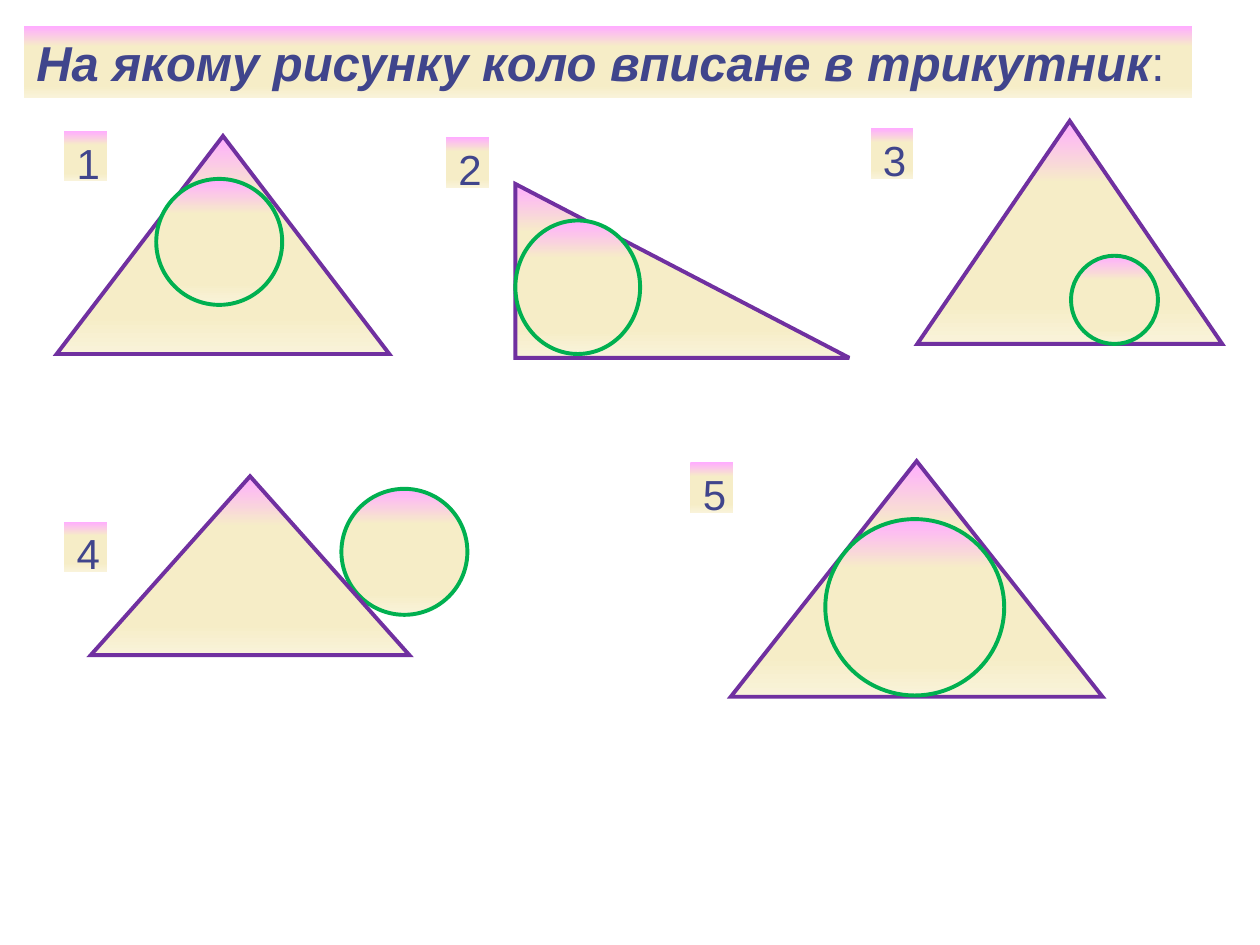
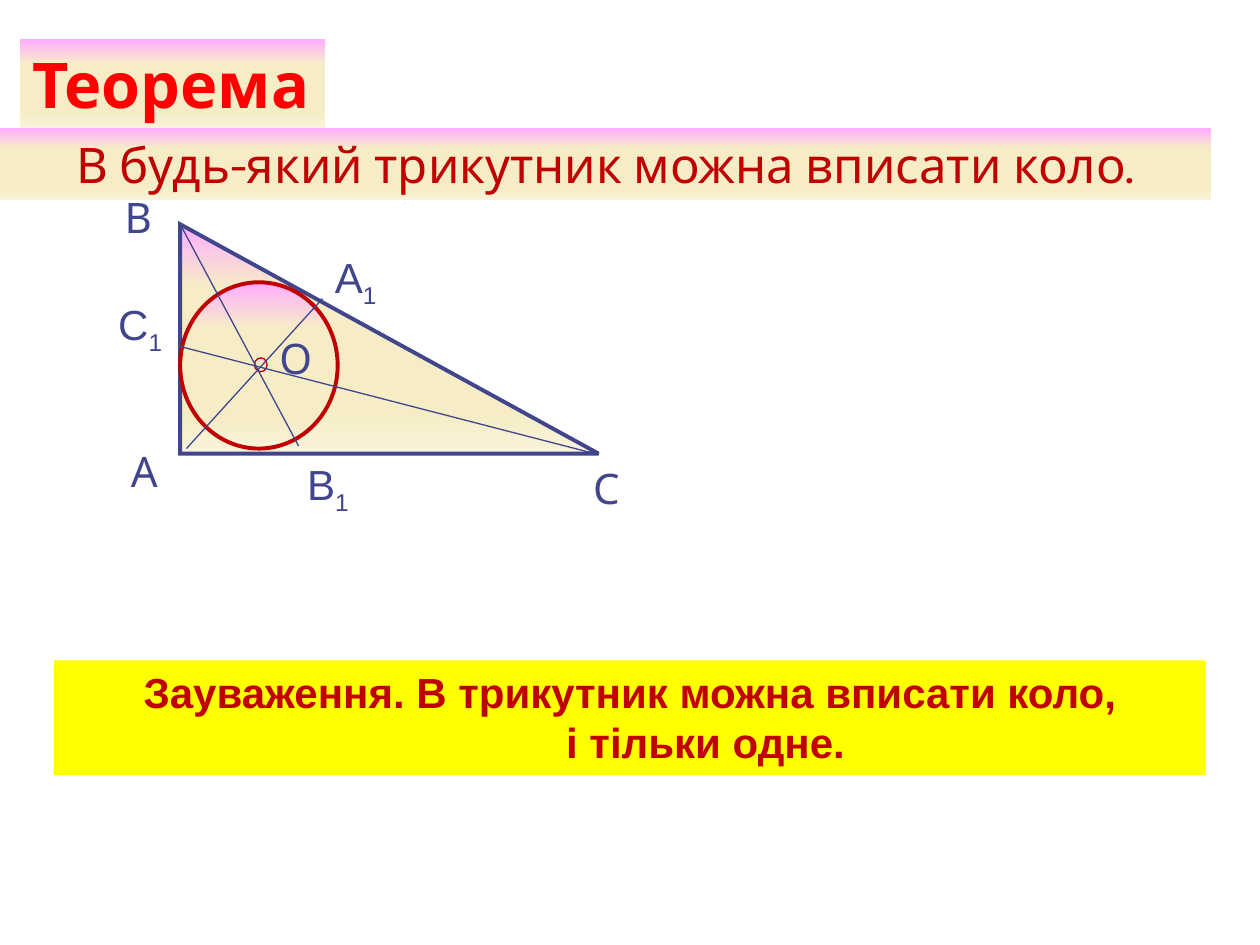
from dataclasses import dataclass
from typing import NamedTuple, Optional, Sequence

from lxml.etree import SubElement
from pptx import Presentation
from pptx.dml.color import RGBColor
from pptx.enum.shapes import MSO_CONNECTOR as Connector, MSO_SHAPE as Preset
from pptx.enum.text import MSO_ANCHOR as Anchor, MSO_AUTO_SIZE as AutoSize, PP_ALIGN as Align
from pptx.oxml.ns import qn
from pptx.util import Inches, Pt

SLIDE_WIDTH, SLIDE_HEIGHT = Inches(10), Inches(7.5)
COLUMNS, ROWS = 100, 75
COLUMN, ROW = SLIDE_WIDTH / COLUMNS, SLIDE_HEIGHT / ROWS

INK, PURPLE, GREEN = "40458C", "7030A0", "00B050"
CRIMSON, RED, YELLOW = "C00000", "FF0000", "FFFF00"
BAND_STOPS = ((0, "FFADFF"), (28, "F6EDC7"), (83, "F6EDC7"), (100, "F9F3DA"))
THICK, THIN = 2.25, 0.75
BODY, ACCENT = "Arial", "Karla"


class Frame(NamedTuple):
    left: float
    top: float
    width: float
    height: float


class Run(NamedTuple):
    text: str
    size: float = 24
    font: str = BODY
    color: str = INK
    bold: bool = False
    italic: bool = False
    baseline: int = 0


class Line(NamedTuple):
    runs: Sequence[Run]
    indent: float = 0


class Segment(NamedTuple):
    start: tuple[float, float]
    end: tuple[float, float]


class Label(NamedTuple):
    letter: str
    frame: Frame
    font: str = ACCENT
    index: str = ""


@dataclass(frozen=True)
class Exercise:
    number: int
    tag_left: float
    tag_top: float
    triangle: Frame
    circle: Frame
    preset: Preset = Preset.ISOSCELES_TRIANGLE
    circle_behind: bool = False


EXERCISES = (
    Exercise(1, 5.1, 10.4, Frame(4.5, 10.8, 26.4, 17.3), Frame(12.4, 14.2, 10, 10)),
    Exercise(2, 35.4, 10.9, Frame(40.9, 14.6, 26.5, 13.8), Frame(40.9, 17.5, 9.9, 10.6),
             Preset.RIGHT_TRIANGLE),
    Exercise(3, 69.1, 10.2, Frame(72.8, 9.6, 24.2, 17.7), Frame(85, 20.3, 6.9, 7)),
    Exercise(4, 5.1, 41.4, Frame(7.2, 37.8, 25.3, 14.2), Frame(27.1, 38.8, 10, 10),
             circle_behind=True),
    Exercise(5, 54.8, 36.7, Frame(58, 36.6, 29.5, 18.7), Frame(65.5, 41.2, 14.2, 14)),
)

BISECTORS = (
    Segment((14.8, 35.6), (25.6, 23.7)),
    Segment((14.3, 17.8), (23.7, 35.4)),
    Segment((46.8, 35.9), (14.3, 27.5)),
)

VERTEX_LABELS = (
    Label("А", Frame(9.4, 34.9, 4.7, 5.3)),
    Label("В", Frame(8.9, 14.7, 4.7, 5.3)),
    Label("С", Frame(46.1, 36.2, 4.7, 5.3)),
    Label("О", Frame(21.2, 25.9, 4.4, 5)),
    Label("С", Frame(8.4, 23.2, 6, 5.3), BODY, "1"),
    Label("А", Frame(25.6, 19.5, 6, 5.3), BODY, "1"),
    Label("В", Frame(23.4, 35.9, 6, 5.3), BODY, "1"),
)


def rgb(value: str) -> RGBColor:
    """Turn a hex string into a colour."""
    return RGBColor.from_string(value)


def place(frame: Frame) -> tuple[int, int, int, int]:
    """Convert grid cells to slide lengths."""
    return (round(frame.left * COLUMN), round(frame.top * ROW),
            round(frame.width * COLUMN), round(frame.height * ROW))


def fill_band(shape) -> None:
    """Fill a shape with the shared pink-to-cream gradient."""
    shape.fill.gradient()
    shape.fill.gradient_angle = 270
    stops = shape._element.spPr.find(qn("a:gradFill")).find(qn("a:gsLst"))
    for stop in list(stops):
        stops.remove(stop)
    for position, color in BAND_STOPS:
        stop = SubElement(stops, qn("a:gs"), pos=str(position * 1000))
        SubElement(stop, qn("a:srgbClr"), val=color)


def add_figure(slide, preset: Preset, frame: Frame, line_color: Optional[str] = None,
               line_width: float = THICK, fill: Optional[str] = None):
    """Add a preset shape with a solid or gradient fill and an optional outline."""
    shape = slide.shapes.add_shape(preset, *place(frame))
    shape.shadow.inherit = False
    if fill:
        shape.fill.solid()
        shape.fill.fore_color.rgb = rgb(fill)
    else:
        fill_band(shape)
    if line_color:
        shape.line.color.rgb = rgb(line_color)
        shape.line.width = Pt(line_width)
        SubElement(shape._element.spPr.find(qn("a:ln")), qn("a:miter"), lim="800000")
    else:
        shape.line.fill.background()
    return shape


def write(shape, lines: Sequence[Line], align: Align = Align.LEFT, wrap: bool = False) -> None:
    """Write lines of runs into a shape."""
    frame = shape.text_frame
    frame.word_wrap = wrap
    frame.auto_size = AutoSize.NONE
    frame.vertical_anchor = Anchor.TOP
    for number, line in enumerate(lines):
        paragraph = frame.add_paragraph() if number else frame.paragraphs[0]
        paragraph.alignment = align
        if line.indent:
            paragraph._p.get_or_add_pPr().set("marL", str(round(line.indent * COLUMN)))
        for style in line.runs:
            run = paragraph.add_run()
            run.text = style.text
            run.font.name = style.font
            run.font.size = Pt(style.size)
            run.font.bold = style.bold
            run.font.italic = style.italic
            run.font.color.rgb = rgb(style.color)
            if style.baseline:
                run.font._element.set("baseline", str(style.baseline * 1000))


def add_band(slide, frame: Frame, lines: Sequence[Line], align: Align = Align.LEFT,
             wrap: bool = False, fill: Optional[str] = None) -> None:
    """Add a filled rectangle holding text."""
    write(add_figure(slide, Preset.RECTANGLE, frame, fill=fill), lines, align, wrap)


def add_label(slide, label: Label) -> None:
    """Add a point's letter with its optional lower index."""
    runs = [Run(label.letter, font=label.font)]
    if label.index:
        runs.append(Run(label.index, font=label.font, baseline=-25))
    write(slide.shapes.add_textbox(*place(label.frame)), [Line(runs)])


def add_segment(slide, segment: Segment) -> None:
    """Add a thin straight line."""
    ends = [round(value * unit) for point in segment for value, unit in zip(point, (COLUMN, ROW))]
    connector = slide.shapes.add_connector(Connector.STRAIGHT, *ends)
    connector.line.color.rgb = rgb(INK)
    connector.line.width = Pt(THIN)
    SubElement(connector._element.spPr, qn("a:effectLst"))


def add_exercise(slide, exercise: Exercise) -> None:
    """Draw a numbered triangle with its circle."""
    figures = [(exercise.preset, exercise.triangle, PURPLE),
               (Preset.OVAL, exercise.circle, GREEN)]
    if exercise.circle_behind:
        figures.reverse()
    for preset, frame, color in figures:
        add_figure(slide, preset, frame, color)
    add_band(slide, Frame(exercise.tag_left, exercise.tag_top, 3.4, 4),
             [Line([Run(str(exercise.number))])])


def build_question(slide) -> None:
    """Build the slide asking which circle is inscribed."""
    add_band(slide, Frame(1.9, 2.1, 92.7, 5.7), [Line([
        Run("На якому рисунку коло вписане в трикутник", 28, bold=True, italic=True),
        Run(":", 28)])])
    for exercise in EXERCISES:
        add_exercise(slide, exercise)


def build_theorem(slide) -> None:
    """Build the slide with the theorem, its drawing and the remark."""
    add_band(slide, Frame(4.3, 52.4, 91.4, 9.1), [
        Line([Run("Зауваження. В трикутник можна вписати коло,", color=CRIMSON, bold=True)]),
        Line([Run("і тільки одне.", color=CRIMSON, bold=True)], indent=12),
    ], Align.CENTER, wrap=True, fill=YELLOW)
    add_band(slide, Frame(0, 10.2, 96.1, 5.7), [Line([
        Run("В будь-який трикутник можна вписати коло.", 28, ACCENT, CRIMSON)])],
        Align.CENTER, wrap=True)
    add_band(slide, Frame(1.6, 3.1, 24.2, 7.1), [Line([
        Run("Теорема", 36, ACCENT, RED, bold=True)])])
    add_figure(slide, Preset.RIGHT_TRIANGLE, Frame(14.3, 17.8, 33.2, 18.2), INK)
    add_figure(slide, Preset.OVAL, Frame(14.3, 22.4, 12.5, 13.2), CRIMSON)
    add_figure(slide, Preset.OVAL, Frame(20.2, 28.4, 1, 1.1), CRIMSON, THIN)
    for bisector in BISECTORS:
        add_segment(slide, bisector)
    for label in VERTEX_LABELS:
        add_label(slide, label)


def main() -> None:
    """Build and save the presentation."""
    presentation = Presentation()
    presentation.slide_width, presentation.slide_height = SLIDE_WIDTH, SLIDE_HEIGHT
    blank = presentation.slide_layouts[6]
    for build in (build_question, build_theorem):
        build(presentation.slides.add_slide(blank))
    presentation.save("out.pptx")


if __name__ == "__main__":
    main()
